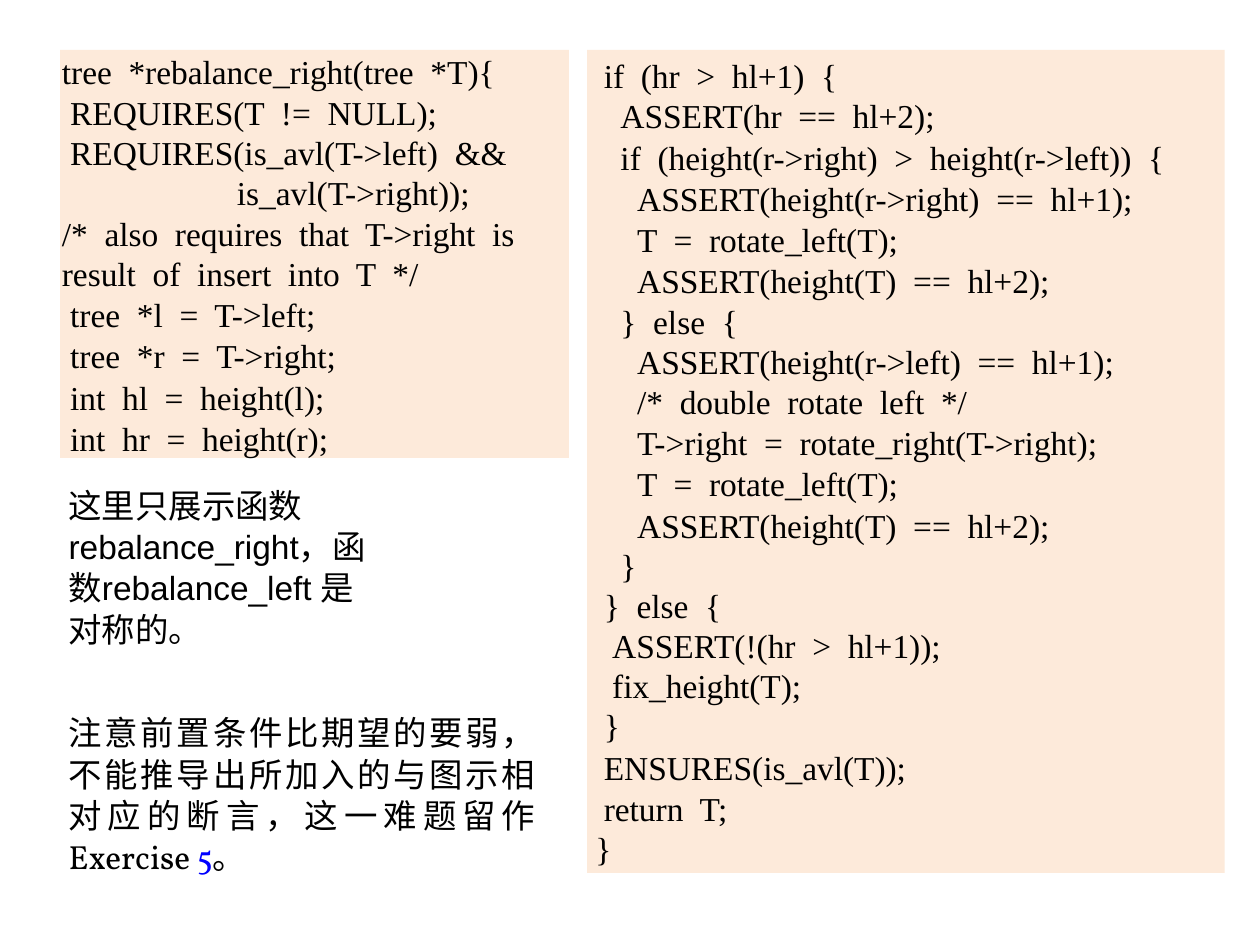
from pptx import Presentation
from pptx.dml.color import RGBColor
from pptx.enum.shapes import MSO_SHAPE
from pptx.enum.text import MSO_ANCHOR, PP_ALIGN
from pptx.util import Inches, Pt

COLORS = {"panel": "FDEADA", "text": "000000", "link": "0000FF"}
SIZE = Pt(28)
SPACE = 0.097  # width of one space in the code font, in inches
LOOSE, TIGHT = 1.03, 1.0

deck = Presentation()
deck.slide_width, deck.slide_height = Inches(14.66), Inches(11)
slide = deck.slides.add_slide(deck.slide_layouts[6])


def style(run, font, color="text"):
    run.font.name = font
    run.font.size = SIZE
    run.font.color.rgb = RGBColor.from_string(COLORS[color])


def set_frame(frame, side, top):
    frame.word_wrap = True
    frame.vertical_anchor = MSO_ANCHOR.TOP
    frame.margin_left = frame.margin_right = Inches(side)
    frame.margin_top = frame.margin_bottom = Inches(top)


# Code: indent in spaces, line spacing, text
HEAD = [
    (0, LOOSE, "tree *rebalance_right(tree *T){"),
    (1, LOOSE, "REQUIRES(T != NULL);"),
    (1, TIGHT, "REQUIRES(is_avl(T->left) &&"),
    (21, TIGHT, "is_avl(T->right));"),
    (0, TIGHT, "/* also requires that T->right is result of insert into T */"),
    (1, LOOSE, "tree *l = T->left;"),
    (1, LOOSE, "tree *r = T->right;"),
    (1, LOOSE, "int hl = height(l);"),
    (1, LOOSE, "int hr = height(r);"),
]
BODY = [
    (1, LOOSE, "if (hr > hl+1) {"),
    (3, TIGHT, "ASSERT(hr == hl+2);"),
    (3, LOOSE, "if (height(r->right) > height(r->left)) {"),
    (5, LOOSE, "ASSERT(height(r->right) == hl+1);"),
    (5, LOOSE, "T = rotate_left(T);"),
    (5, LOOSE, "ASSERT(height(T) == hl+2);"),
    (3, TIGHT, "} else {"),
    (5, TIGHT, "ASSERT(height(r->left) == hl+1);"),
    (5, TIGHT, "/* double rotate left */"),
    (5, LOOSE, "T->right = rotate_right(T->right);"),
    (5, LOOSE, "T = rotate_left(T);"),
    (5, LOOSE, "ASSERT(height(T) == hl+2);"),
    (3, TIGHT, "}"),
    (1, TIGHT, "} else {"),
    (2, TIGHT, "ASSERT(!(hr > hl+1));"),
    (2, TIGHT, "fix_height(T);"),
    (1, TIGHT, "}"),
    (1, LOOSE, "ENSURES(is_avl(T));"),
    (1, LOOSE, "return T;"),
    (0, TIGHT, "}"),
]

# Code panels: left, width, height, side inset, top inset, lines
PANELS = [
    (0.7, 5.92, 4.75, 0.02, 0, HEAD),
    (6.83, 7.42, 9.58, 0.1, 0.05, BODY),
]
for left, width, height, side, top, lines in PANELS:
    panel = slide.shapes.add_shape(
        MSO_SHAPE.RECTANGLE, Inches(left), Inches(0.58), Inches(width), Inches(height))
    panel.shadow.inherit = False
    panel.fill.solid()
    panel.fill.fore_color.rgb = RGBColor.from_string(COLORS["panel"])
    panel.line.fill.background()
    frame = panel.text_frame
    set_frame(frame, side, top)
    # The code is set with double word gaps
    frame.text = "\n".join(text.replace(" ", "  ") for _, _, text in lines)
    for para, (indent, spacing, _) in zip(frame.paragraphs, lines):
        para.alignment = PP_ALIGN.LEFT
        para.line_spacing = spacing
        para._p.get_or_add_pPr().set("marL", str(Inches(indent * SPACE)))
        style(para.runs[0], "Times New Roman")

# Notes: top, width, height, alignment, runs
NOTES = [
    (5.58, 3.75, 2.49, PP_ALIGN.LEFT, [
        ("这里只展示函数 ", "Vollkorn", "text"),
        ("rebalance_right", "Arial", "text"),
        ("，函数", "Vollkorn", "text"),
        ("rebalance_left ", "Arial", "text"),
        ("是对称的。", "Vollkorn", "text"),
    ]),
    (8.23, 5.63, 2.03, PP_ALIGN.JUSTIFY, [
        ("注意前置条件比期望的要弱，不能推导出所加入的与图示相对应的断言，"
         "这一难题留作 Exercise ", "Vollkorn", "text"),
        ("5", "Vollkorn", "link"),
        ("。", "Vollkorn", "text"),
    ]),
]
for top, width, height, align, parts in NOTES:
    note = slide.shapes.add_textbox(
        Inches(0.7), Inches(top), Inches(width), Inches(height))
    set_frame(note.text_frame, 0.1, 0.05)
    para = note.text_frame.paragraphs[0]
    para.alignment = align
    para.line_spacing = LOOSE
    for text, font, color in parts:
        run = para.add_run()
        run.text = text
        style(run, font, color)

deck.save("out.pptx")
